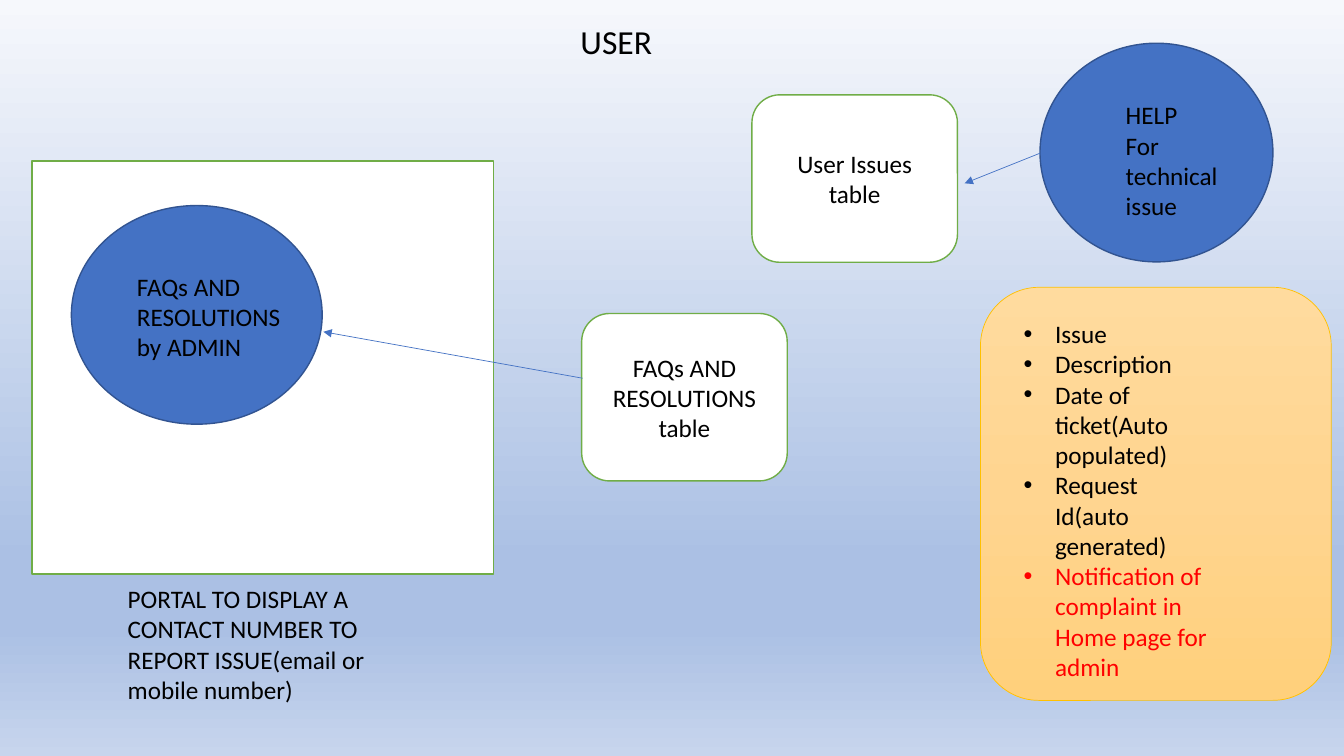
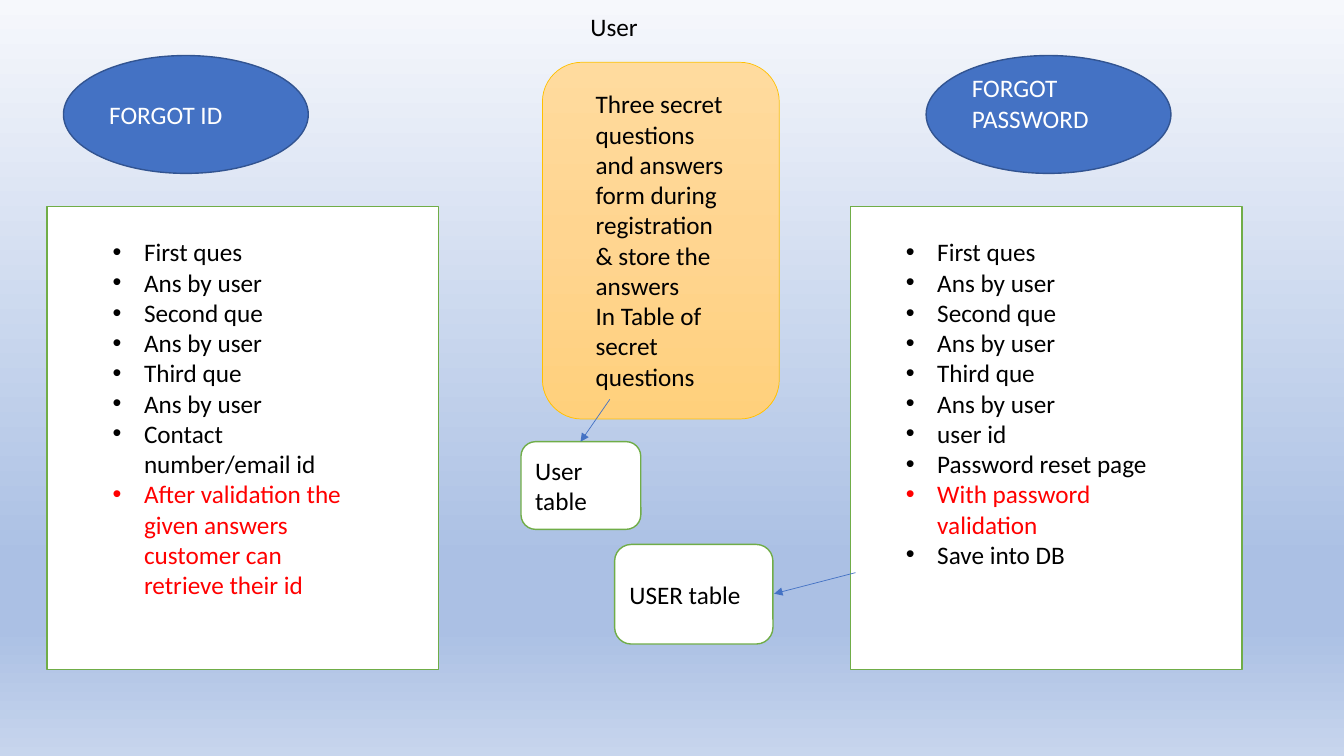
import pptx
import pptx.util
import pptx.dml.color
import pptx.enum.dml
import pptx.enum.shapes
import pptx.enum.text
import pptx.oxml
import pptx.oxml.ns

Cm = pptx.util.Cm
Pt = pptx.util.Pt
FORM = pptx.enum.shapes.MSO_SHAPE
ALIGN = pptx.enum.text.PP_ALIGN
ANCHOR = pptx.enum.text.MSO_ANCHOR

FONT = "Calibri"
BLACK, WHITE, RED, BLUE, GREEN = "000000", "FFFFFF", "FF0000", "4472C4", "70AD47"
SKY = [(0, "F6F8FC"), (74, "ABC0E4"), (83, "ABC0E4"), (100, "C7D5ED")]
GOLD = [(0, "FFDB9E"), (50, "FFD590"), (100, "FFD07C")]

# Each style: preset form (None is a text box), fill, line, and text format
STYLES = {
    "title": dict(size=24, align=ALIGN.JUSTIFY),
    "label": dict(),
    "list": dict(bullet=True),
    "circle": dict(form=FORM.OVAL, fill=BLUE, line=("325491", 1), color=WHITE),
    "circle top": dict(form=FORM.OVAL, fill=BLUE, line=("325491", 1), color=WHITE,
                       frame=dict(vertical_anchor=ANCHOR.TOP, margin_top=0)),
    "frame": dict(form=FORM.RECTANGLE, fill=WHITE, line=(GREEN, 1)),
    "table": dict(form=FORM.ROUNDED_RECTANGLE, fill=WHITE, line=(GREEN, 1)),
    "table mid": dict(form=FORM.ROUNDED_RECTANGLE, fill=WHITE, line=(GREEN, 1),
                      align=ALIGN.CENTER),
    "panel": dict(form=FORM.ROUNDED_RECTANGLE, fill=GOLD, line=("FFC000", 0.5)),
}

# Lines shown in red
ALERTS = {
    "Notification of complaint in Home page for admin",
    "After validation the given answers customer can retrieve their id",
    "With password validation",
}

# Items are (style, (left, top, width, height) in cm, lines);
# an arrow has (from x, from y, to x, to y)
HELP = [
    ("title", (14.38, 0.41, 5.49, 1.27), ["USER"]),
    ("circle", (26.21, 1.09, 5.87, 5.51), []),
    ("label", (28.12, 2.39, 3.33, 3.33), ["HELP", "For technical issue"]),
    ("table mid", (18.95, 2.39, 5.18, 4.22), ["User Issues table"]),
    ("arrow", (26.21, 3.86, 24.31, 4.62), []),
    ("panel", (24.71, 7.24, 8.84, 10.41), []),
    ("list", (25.55, 7.9, 5.13, 9.5), [
        "Issue", "Description", "Date of ticket(Auto populated)",
        "Request Id(auto generated)",
        "Notification of complaint in Home page for admin"]),
    ("frame", (0.81, 4.06, 11.63, 10.41), []),
    ("label", (2.97, 14.58, 7.34, 3.33), [
        "PORTAL TO DISPLAY A CONTACT NUMBER TO REPORT ISSUE(email or mobile number)"]),
    ("circle", (1.8, 5.18, 6.32, 5.51), []),
    ("label", (3.2, 6.71, 4.14, 2.57), ["FAQs AND RESOLUTIONS by ADMIN"]),
    ("table mid", (14.66, 7.9, 5.18, 4.22), ["FAQs AND RESOLUTIONS", "table"]),
    ("arrow", (14.68, 9.53, 8.15, 8.36), []),
]

QUIZ = ["First ques", "Ans by user", "Second que", "Ans by user", "Third que", "Ans by user"]

# Forgot columns: circle style, heading, lefts of circle, frame and list, last steps
COLUMNS = [
    ("circle", "FORGOT ID", (1.6, 1.19, 2.59), [
        "Contact number/email id",
        "After validation the given answers customer can retrieve their id"]),
    ("circle top", "FORGOT PASSWORD", (23.34, 21.44, 22.58), [
        "user id", "Password reset page", "With password validation", "Save into DB"]),
]

CENTRE = [
    ("table", (15.49, 13.72, 3.99, 2.51), ["USER table"]),
    ("arrow", (21.56, 14.43, 19.51, 14.96), []),
    ("panel", (13.67, 1.57, 5.97, 8.99), []),
    ("label", (14.76, 2.11, 3.89, 7.95), [
        "Three secret questions and answers form during registration",
        "& store the answers", "In Table of secret questions"]),
    ("table", (13.13, 11.13, 3.02, 2.21), ["User table"]),
    ("arrow", (15.37, 10.06, 14.63, 11.13), []),
    ("label", (14.63, 0.15, 16.94, 1.02), ["User"]),
]


def rgb(code):
    """Turn a hex string into a colour."""
    return pptx.dml.color.RGBColor.from_string(code)


def add(parent, tag, **attrs):
    """Append a drawing element with attributes."""
    node = parent.makeelement(pptx.oxml.ns.qn("a:" + tag), attrs)
    parent.append(node)
    return node


def paint(fill, owner, paint_with):
    """Fill with one colour, or with a list of stops from top to bottom."""
    if isinstance(paint_with, str):
        fill.solid()
        fill.fore_color.rgb = rgb(paint_with)
        return
    fill.gradient()
    fill.gradient_angle = 270
    stops = next(owner.element.iter(pptx.oxml.ns.qn("a:gsLst")))
    for old in list(stops):
        stops.remove(old)
    for place, code in paint_with:
        add(add(stops, "gs", pos=str(place * 1000)), "srgbClr", val=code)


def stroke(line, code, width):
    """Set line colour and width."""
    line.color.rgb = rgb(code)
    line.width = Pt(width)


def write(frame, lines, color=BLACK, size=18, align=ALIGN.LEFT, bullet=False):
    """Write one paragraph per line."""
    for i, text in enumerate(lines):
        para = frame.add_paragraph() if i else frame.paragraphs[0]
        para.alignment = align
        run = para.add_run()
        run.text = text
        for name, value in dict(name=FONT, size=Pt(size)).items():
            setattr(run.font, name, value)
        run.font.color.rgb = rgb(RED if text in ALERTS else color)
        if bullet:
            props = para._p.get_or_add_pPr()
            props.set("marL", str(Cm(0.79)))
            props.set("indent", str(-Cm(0.79)))
            add(props, "buFont", typeface="Arial")
            add(props, "buChar", char="•")


def arrow(slide, ends):
    """Draw a thin arrow between two points."""
    link = slide.shapes.add_connector(
        pptx.enum.shapes.MSO_CONNECTOR.STRAIGHT, *map(Cm, ends))
    stroke(link.line, BLUE, 0.5)
    add(link.line._get_or_add_ln(), "tailEnd", type="triangle")
    add(link.element.spPr, "effectLst")


def draw(slide, box, lines, form=None, fill=None, line=None, frame=None, **text):
    """Draw a shape or a text box with its text."""
    box = [Cm(n) for n in box]
    if form is None:
        shape = slide.shapes.add_textbox(*box)
        settings = dict(word_wrap=True)
    else:
        shape = slide.shapes.add_shape(form, *box)
        shape.shadow.inherit = False
        paint(shape.fill, shape, fill)
        stroke(shape.line, *line)
        settings = dict(word_wrap=True, vertical_anchor=ANCHOR.MIDDLE)
    for name, value in {**settings, **(frame or {})}.items():
        setattr(shape.text_frame, name, value)
    write(shape.text_frame, lines, **text)


def columns():
    """Lay out both forgot columns on shared rows."""
    items = []
    for style, head, (oval, frame, steps), last in COLUMNS:
        items += [(style, (oval, 1.4, 6.17, 2.97), [head]),
                  ("frame", (frame, 5.21, 9.86, 11.66), []),
                  ("list", (steps, 5.84, 6.63, 9.5), QUIZ + last)]
    return items


def build(deck, items):
    """Add a slide with the shared backdrop and its items."""
    slide = deck.slides.add_slide(deck.slide_layouts[6])
    paint(slide.background.fill, slide, SKY)
    for style, box, lines in items:
        if style == "arrow":
            arrow(slide, box)
        else:
            draw(slide, box, lines, **STYLES[style])


deck = pptx.Presentation()
deck.slide_width, deck.slide_height = Cm(33.87), Cm(19.05)
for items in (HELP, columns() + CENTRE):
    build(deck, items)
deck.save("out.pptx")
